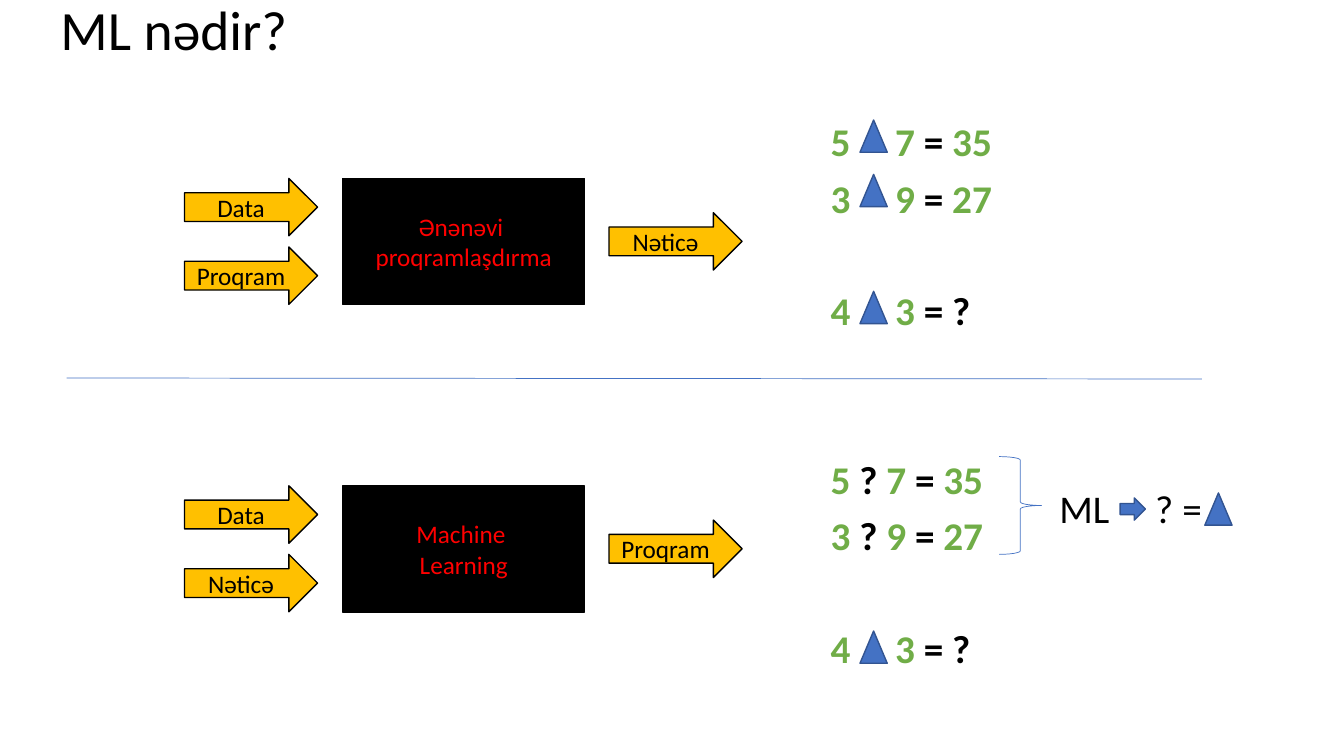
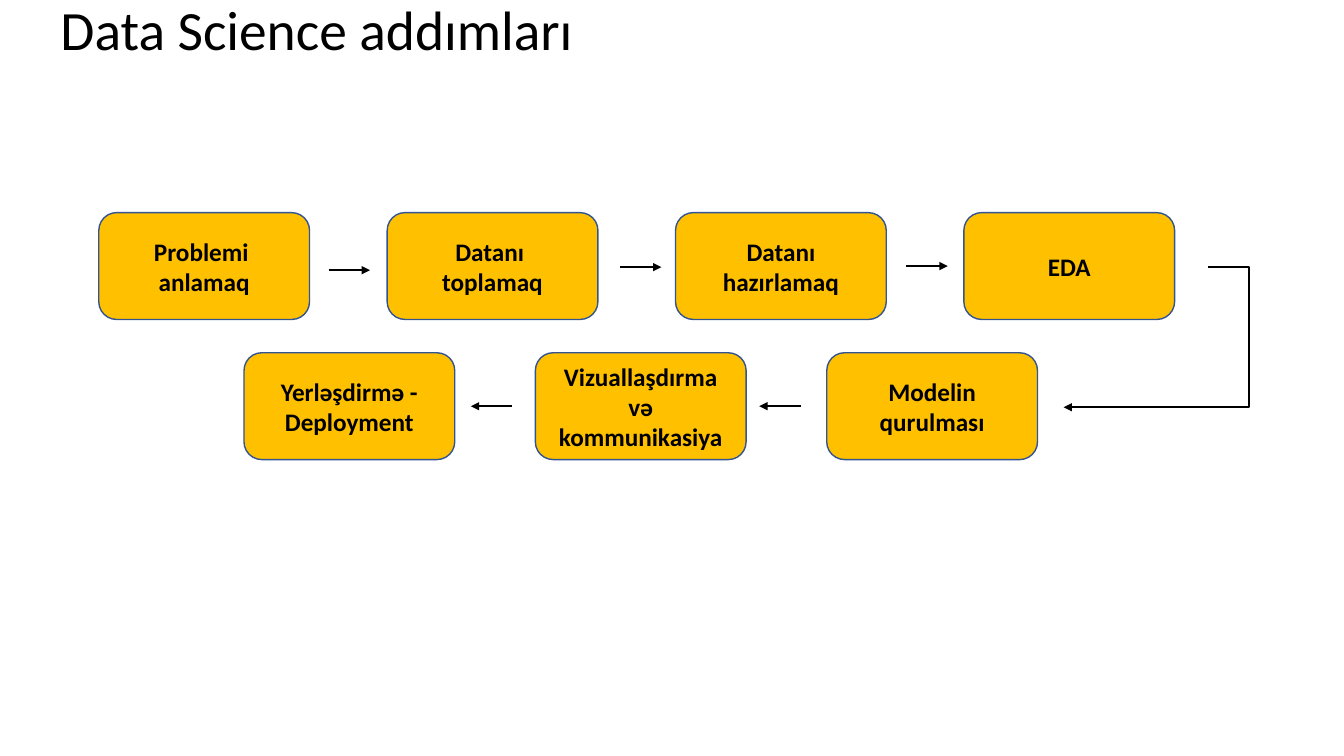
"""Build two slides: what machine learning is, and the steps of data science."""
from itertools import groupby

from lxml import etree
from pptx import Presentation
from pptx.dml.color import RGBColor
from pptx.enum.shapes import MSO_CONNECTOR, MSO_SHAPE
from pptx.enum.text import MSO_ANCHOR, PP_ALIGN
from pptx.oxml.ns import qn
from pptx.util import Inches, Pt

BLOCK_ARROW, BOX, STEP = MSO_SHAPE.RIGHT_ARROW, MSO_SHAPE.RECTANGLE, MSO_SHAPE.ROUNDED_RECTANGLE
TRIANGLE, BRACE = MSO_SHAPE.ISOSCELES_TRIANGLE, MSO_SHAPE.RIGHT_BRACE
STRAIGHT, ELBOW = MSO_CONNECTOR.STRAIGHT, MSO_CONNECTOR.ELBOW
MIDDLE, TOP = MSO_ANCHOR.MIDDLE, MSO_ANCHOR.TOP
CENTER, LEFT = PP_ALIGN.CENTER, PP_ALIGN.LEFT

SLIDE_W, SLIDE_H = 13.33, 7.5
COLORS = {"black": "000000", "gold": "FFC000", "red": "FF0000", "green": "70AD47",
          "blue": "4472C4", "navy": "325491"}

TITLE_FONT = {"name": "Calibri", "size": Pt(39.6)}
LABEL_FONT = {"name": "Calibri", "size": Pt(18)}
STEP_FONT = {**LABEL_FONT, "bold": True}
FORMULA_FONT = {"name": "Calibri", "size": Pt(28)}
EQUATION_FONT = {**FORMULA_FONT, "bold": True}
TIGHT = {"line_spacing": 0.9}

ML_TITLE = "ML nədir?"
PANELS = [
    {"top": 1.77, "inputs": ["Data ", "Proqram "], "engine": ["Ənənəvi ", "proqramlaşdırma"],
     "output": "Nəticə ", "equations": ["5\t7 = 35", "3\t9 = 27", "4\t3 = ?"],
     "equations_top": 1.17, "operators": [1.19, 1.73, 2.89]},
    {"top": 4.82, "inputs": ["Data ", "Nəticə "], "engine": ["Machine ", "Learning"],
     "output": "Proqram ", "equations": ["5 ? 7 = 35", "3 ? 9 = 27", "4\t3 = ?"],
     "equations_top": 4.52, "operators": [6.26]},
]
CONCLUSION = "ML\t? ="
ARROW_SIZE = (1.32, 0.57)
ARROW_PITCH = 0.68
ENGINE_SIZE = (2.4, 1.25)
OPERATOR_SIZE = (0.27, 0.32)
OPERATOR_LEFT = 8.53

STEPS_TITLE = "Data Science addımları"
STEP_SIZE = (2.09, 1.06)
STEP_ROWS = [
    {"left": 0.98, "top": 2.11, "pitch": 2.86,
     "steps": [["Problemi ", "anlamaq"], ["Datanı ", "toplamaq"], ["Datanı hazırlamaq"], ["EDA"]]},
    {"left": 8.2, "top": 3.5, "pitch": -2.89,
     "steps": [["Modelin qurulması"], ["Vizuallaşdırma və kommunikasiya"],
               ["Yerləşdirmə - Deployment"]]},
]
FLOW_LENGTH = 0.41
FLOWS = [(3.26, 2.68, 1), (6.15, 2.65, 1), (8.99, 2.64, 1), (7.94, 4.03, -1), (5.08, 4.03, -1)]
TURN = (11.98, 2.65, 10.55, 4.04)
TURN_BEND = -28400


def rgb(name):
    return RGBColor.from_string(COLORS[name])


def apply(target, values):
    for attribute, value in values.items():
        setattr(target, attribute, value)


def add_run(paragraph, text, font, color):
    run = paragraph.add_run()
    run.text = text
    apply(run.font, font)
    run.font.color.rgb = rgb(color)


def set_tab(paragraph, position):
    tabs = etree.SubElement(paragraph._p.get_or_add_pPr(), qn("a:tabLst"))
    etree.SubElement(tabs, qn("a:tab"), pos=str(Inches(position)), algn="l")


def add_lines(frame, lines, font, color, align):
    for index, line in enumerate(lines):
        paragraph = frame.add_paragraph() if index else frame.paragraphs[0]
        paragraph.alignment = align
        add_run(paragraph, line, font, color)


def add_text(slide, place, anchor=TOP):
    frame = slide.shapes.add_textbox(*map(Inches, place)).text_frame
    apply(frame, {"word_wrap": True, "vertical_anchor": anchor})
    return frame


def add_figure(slide, kind, place, fill, line, width=1, lines=(), font=LABEL_FONT, color="black"):
    figure = slide.shapes.add_shape(kind, *map(Inches, place))
    figure.shadow.inherit = False
    if fill:
        figure.fill.solid()
        figure.fill.fore_color.rgb = rgb(fill)
    else:
        figure.fill.background()
    figure.line.color.rgb = rgb(line)
    figure.line.width = Pt(width)
    apply(figure.text_frame, {"word_wrap": True, "vertical_anchor": MIDDLE})
    add_lines(figure.text_frame, lines, font, color, CENTER)


def add_line(slide, ends, color, width, kind=STRAIGHT, arrow=False, bend=None):
    line = slide.shapes.add_connector(kind, *map(Inches, ends))
    line.line.color.rgb = rgb(color)
    line.line.width = Pt(width)
    properties = line._element.spPr
    if arrow:
        etree.SubElement(properties.find(qn("a:ln")), qn("a:tailEnd"), type="triangle")
    if bend is not None:
        guides = properties.find(qn("a:prstGeom")).get_or_add_avLst()
        etree.SubElement(guides, qn("a:gd"), name="adj1", fmla=f"val {bend}")
    etree.SubElement(properties, qn("a:effectLst"))


def add_slide(deck, title):
    slide = deck.slides.add_slide(deck.slide_layouts[6])
    frame = add_text(slide, (0, 0, SLIDE_W, 0.65), MIDDLE)
    frame.margin_left = Inches(0.6)
    add_lines(frame, [title], TITLE_FONT, "black", LEFT)
    apply(frame.paragraphs[0], TIGHT)
    return slide


def add_equations(slide, equations, top):
    frame = add_text(slide, (8.14, top, 2.62, 2.2))
    for index, equation in enumerate(equations):
        paragraph = frame.add_paragraph() if index else frame.paragraphs[0]
        apply(paragraph, TIGHT)
        if index:
            paragraph.space_before = Pt(10 if index < 2 else 50.2)
        set_tab(paragraph, 0.64)
        for is_sign, letters in groupby(equation, lambda letter: letter in "=?"):
            add_run(paragraph, "".join(letters), EQUATION_FONT, "black" if is_sign else "green")


def add_operator(slide, left, top):
    add_figure(slide, TRIANGLE, (left, top, *OPERATOR_SIZE), "blue", "navy")


def add_panel(slide, panel):
    top = panel["top"]
    arrows = [(1.83, top + row * ARROW_PITCH, label) for row, label in enumerate(panel["inputs"])]
    arrows.append((6.04, top + ARROW_PITCH / 2, panel["output"]))
    for left, arrow_top, label in arrows:
        add_figure(slide, BLOCK_ARROW, (left, arrow_top, *ARROW_SIZE), "gold", "black",
                   lines=[label])
    add_figure(slide, BOX, (3.4, top, *ENGINE_SIZE), "black", "black",
               lines=panel["engine"], color="red")
    add_equations(slide, panel["equations"], panel["equations_top"])
    for operator_top in panel["operators"]:
        add_operator(slide, OPERATOR_LEFT, operator_top)


def build_ml(deck):
    slide = add_slide(deck, ML_TITLE)
    for panel in PANELS:
        add_panel(slide, panel)
    add_line(slide, (0.66, 3.75, 11.92, 3.76), "blue", 0.5)
    add_figure(slide, BRACE, (9.91, 4.53, 0.42, 0.97), None, "blue", 0.5)
    frame = add_text(slide, (10.41, 4.81, 2.03, 0.65))
    paragraph = frame.paragraphs[0]
    apply(paragraph, TIGHT)
    set_tab(paragraph, 0.95)
    add_run(paragraph, CONCLUSION, FORMULA_FONT, "black")
    add_figure(slide, BLOCK_ARROW, (11.11, 4.94, 0.25, 0.22), "blue", "navy")
    add_operator(slide, 11.95, 4.89)


def build_steps(deck):
    slide = add_slide(deck, STEPS_TITLE)
    for row in STEP_ROWS:
        for column, lines in enumerate(row["steps"]):
            left = row["left"] + column * row["pitch"]
            add_figure(slide, STEP, (left, row["top"], *STEP_SIZE), "gold", "navy",
                       lines=lines, font=STEP_FONT)
    for start, height, direction in FLOWS:
        add_line(slide, (start, height, start + direction * FLOW_LENGTH, height), "black", 1.5,
                 arrow=True)
    add_line(slide, TURN, "black", 1.5, ELBOW, True, TURN_BEND)


def main():
    deck = Presentation()
    deck.slide_width, deck.slide_height = Inches(SLIDE_W), Inches(SLIDE_H)
    build_ml(deck)
    build_steps(deck)
    deck.save("out.pptx")


if __name__ == "__main__":
    main()
